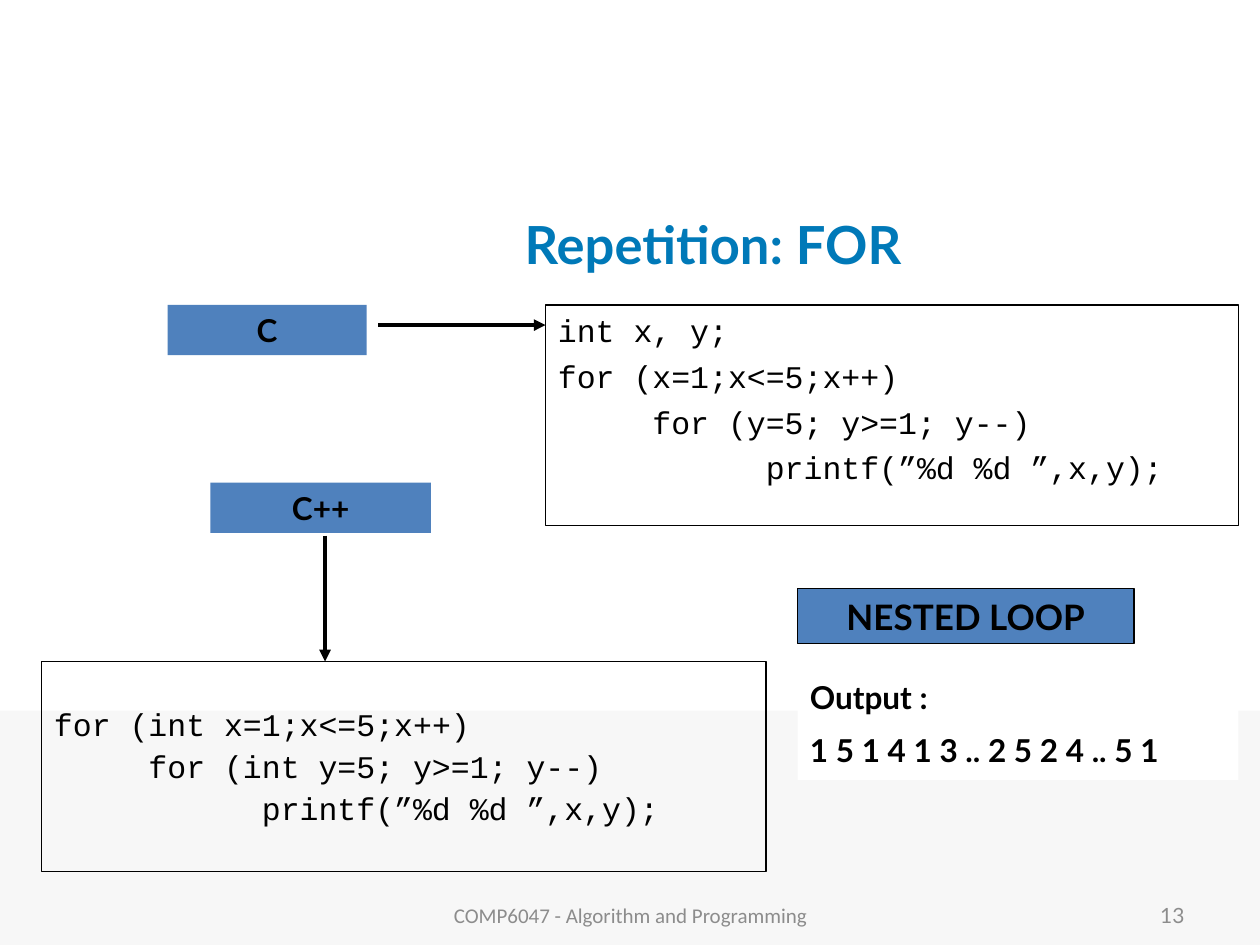
from lxml import etree
from pptx import Presentation
from pptx import util as u
from pptx.dml.color import RGBColor
from pptx.enum import shapes, text
from pptx.oxml.ns import qn

BLACK, WHITE, GREY, BLUE = "000000", "FFFFFF", "8C8C8C", "4F81BD"
LEFT, CENTER, RIGHT = text.PP_ALIGN.LEFT, text.PP_ALIGN.CENTER, text.PP_ALIGN.RIGHT
CHARACTER_WIDTH = 0.15


def color(value):
    """Turn a hex string into a colour."""
    return RGBColor.from_string(value)


def write(box, lines, size=18, font="Lato", ink=BLACK, bold=False, align=LEFT,
          anchor=text.MSO_ANCHOR.TOP, gap=0, spacing=None):
    """Write lines as paragraphs, with the gap between them in points."""
    frame = box.text_frame
    frame.word_wrap = True
    frame.vertical_anchor = anchor
    for index, line in enumerate(lines):
        para = frame.add_paragraph() if index else frame.paragraphs[0]
        para.alignment = align
        para.space_before = u.Pt(gap if index else 0)
        para.line_spacing = spacing
        span = para.add_run()
        span.text = line
        span.font.name = font
        span.font.size = u.Pt(size)
        span.font.bold = bold
        span.font.color.rgb = color(ink)


def add_box(page, left, top, width, height, fill=None, line=None):
    """Add a rectangle with an optional fill and outline."""
    box = page.shapes.add_shape(
        shapes.MSO_SHAPE.RECTANGLE, u.Inches(left), u.Inches(top),
        u.Inches(width), u.Inches(height))
    box.shadow.inherit = False
    if fill:
        box.fill.solid()
        box.fill.fore_color.rgb = color(fill)
    else:
        box.fill.background()
    if line:
        box.line.color.rgb = color(line)
        box.line.width = u.Pt(0.75)
    else:
        box.line.fill.background()
    return box


def add_title(page, title):
    """Place and format the title placeholder."""
    box = page.shapes.title
    box.left, box.top = u.Inches(1.92), u.Inches(1.5)
    box.width, box.height = u.Inches(7.48), u.Inches(0.87)
    write(box, [title], size=30, ink="0079B8", bold=True, align=CENTER,
          anchor=text.MSO_ANCHOR.MIDDLE)


def add_label(page, label, left, top, width, height=0.4, size=18, line=None):
    """Add a blue box with a bold centred label."""
    box = add_box(page, left, top, width, height, fill=BLUE, line=line)
    write(box, [label], size=size, bold=True, align=CENTER,
          anchor=text.MSO_ANCHOR.MIDDLE)


def add_code(page, code, left, top, width, height, inset=0.05, spacing=None):
    """Add an outlined listing from pairs of indent in characters and text."""
    box = add_box(page, left, top, width, height, line=BLACK)
    box.text_frame.margin_top = u.Inches(inset)
    write(box, [line for _, line in code], font="Courier New", gap=4.5,
          spacing=spacing)
    for para, (indent, _) in zip(box.text_frame.paragraphs, code):
        margin = u.Inches(indent * CHARACTER_WIDTH)
        para._p.get_or_add_pPr().set("marL", str(int(margin)))


def add_arrow(page, start, end):
    """Add a straight black arrow between two points."""
    arrow = page.shapes.add_connector(
        shapes.MSO_CONNECTOR.STRAIGHT, *map(u.Inches, start + end))
    arrow.line.color.rgb = color(BLACK)
    arrow.line.width = u.Pt(2.25)
    etree.SubElement(arrow.line._get_or_add_ln(), qn("a:tailEnd"), type="triangle")
    etree.SubElement(arrow._element.spPr, qn("a:effectLst"))


def add_footer(page, words, left, width, font, align):
    """Add a grey text at the foot of the page."""
    box = page.shapes.add_textbox(
        u.Inches(left), u.Inches(7.06), u.Inches(width), u.Inches(0.4))
    write(box, [words], size=12, font=font, ink=GREY, align=align,
          anchor=text.MSO_ANCHOR.MIDDLE)


def main():
    """Build the slide on nested loops and save it."""
    deck = Presentation()
    deck.slide_width, deck.slide_height = u.Inches(10), u.Inches(7.5)
    page = deck.slides.add_slide(deck.slide_layouts[5])

    add_box(page, 0, 5.64, 10, 1.86, fill="F7F7F7")
    add_title(page, "Repetition: FOR")

    add_label(page, "C", 1.33, 2.42, 1.58)
    add_code(page, [(0, "int x, y;"),
                    (0, "for (x=1;x<=5;x++)"),
                    (5, "for (y=5; y>=1; y--)"),
                    (11, "printf(”%d %d ”,x,y);")],
             4.33, 2.42, 5.5, 1.75)
    add_arrow(page, (3, 2.58), (4.33, 2.58))

    add_label(page, "C++", 1.67, 3.83, 1.75)
    add_code(page, [(0, "for (int x=1;x<=5;x++)"),
                    (5, "for (int y=5; y>=1; y--)"),
                    (11, "printf(”%d %d ”,x,y);")],
             0.33, 5.25, 5.75, 1.67, inset=0.38, spacing=0.9)
    add_arrow(page, (2.58, 4.25), (2.58, 5.25))

    add_label(page, "NESTED LOOP", 6.33, 4.67, 2.67, height=0.44, size=20, line=BLACK)
    output = add_box(page, 6.33, 5.33, 3.5, 0.86, fill=WHITE)
    write(output, ["Output :", "1 5 1 4 1 3 .. 2 5 2 4 .. 5 1"], bold=True, gap=9)

    add_footer(page, "COMP6047 - Algorithm and Programming", 3.42, 3.17, "Calibri", CENTER)
    add_footer(page, "13", 7.17, 2.33, "Lato", RIGHT)
    deck.save("out.pptx")


if __name__ == "__main__":
    main()
